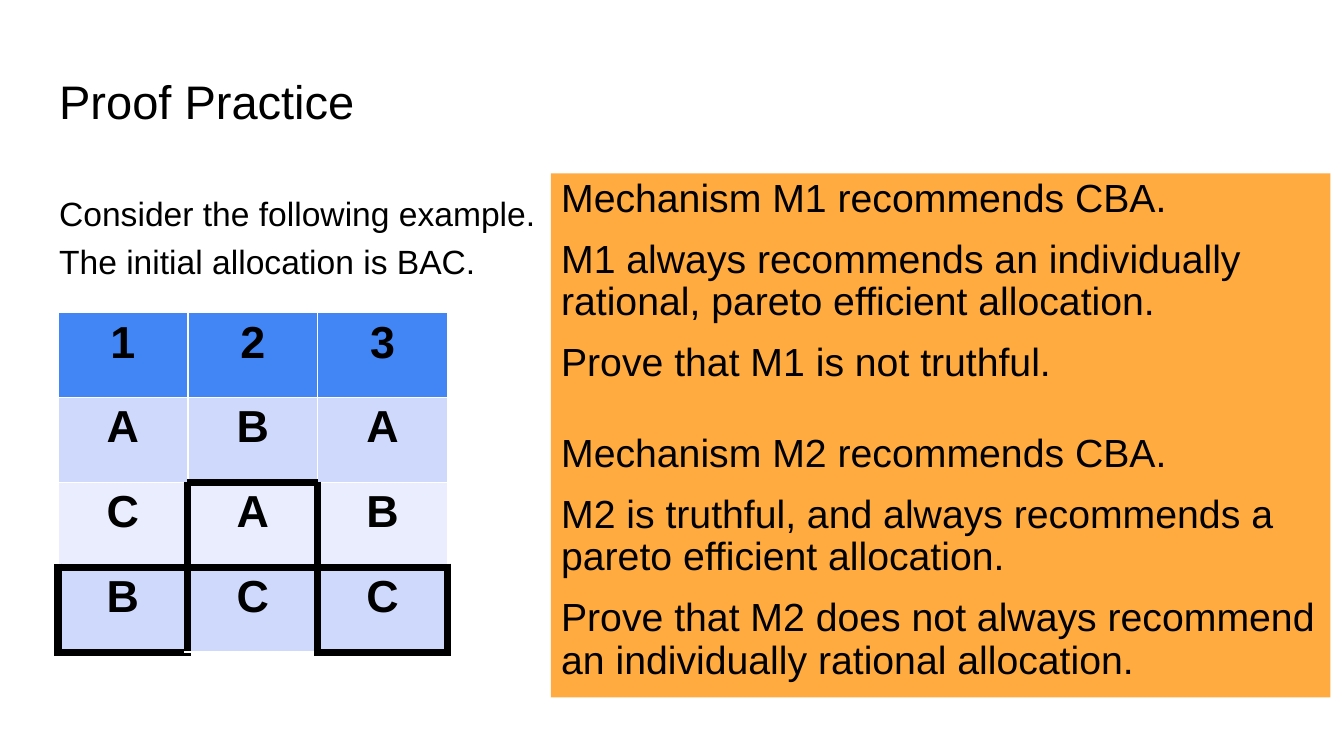
from pptx import Presentation
from pptx.dml.color import RGBColor
from pptx.enum import shapes, text
from pptx.oxml import parse_xml, ns
from pptx.util import Pt

THEME = {
    "font": "Arial", "ink": "000000", "paper": "FFFFFF", "panel": "FFAB40",
    "header": "4285F4", "bands": ("CFD9FB", "E9EDFD"),
    "title": 25.2, "intro": 18, "table": 24, "tasks": 21,
    "thin": 1, "thick": 4.5,
}


def write(frame, lines, size, margins, spacing=1, before=0, align="LEFT", bold=False):
    settings = {"word_wrap": True, "vertical_anchor": text.MSO_ANCHOR.TOP}
    sides = ("margin_left", "margin_top", "margin_right", "margin_bottom")
    settings.update(zip(sides, map(Pt, margins * 2)))
    for name, value in settings.items():
        setattr(frame, name, value)
    for index, line in enumerate(lines):
        para = frame.paragraphs[0] if index == 0 else frame.add_paragraph()
        properties = para._p.get_or_add_pPr()
        properties.set("marL", "0")
        properties.set("indent", "0")
        properties.append(parse_xml(f"<a:buNone {ns.nsdecls('a')}/>"))
        layout = {"alignment": getattr(text.PP_ALIGN, align), "line_spacing": spacing,
                  "space_before": Pt(before if index else 0), "space_after": Pt(0)}
        for name, value in layout.items():
            setattr(para, name, value)
        span = para.add_run()
        span.text = line
        for name, value in {"name": THEME["font"], "size": Pt(size), "bold": bold}.items():
            setattr(span.font, name, value)
        span.font.color.rgb = RGBColor.from_string(THEME["ink"])


def border(cell, side, color, width):
    cell._tc.get_or_add_tcPr().append(parse_xml(
        f'<a:ln{side} {ns.nsdecls("a")} w="{Pt(width)}"><a:solidFill>'
        f'<a:srgbClr val="{color}"/></a:solidFill></a:ln{side}>'))


deck = Presentation()
deck.slide_width, deck.slide_height = Pt(720), Pt(405)
page = deck.slides.add_slide(deck.slide_layouts[1])

title, intro = page.placeholders
places = ((title, (24.5, 31.7, 671, 45.4)), (intro, (24.5, 92.9, 292.3, 257)))
for holder, place in places:
    for name, value in zip(("left", "top", "width", "height"), place):
        setattr(holder, name, Pt(value))
    holder.text_frame.auto_size = text.MSO_AUTO_SIZE.NONE
write(title.text_frame, ["Proof Practice"], THEME["title"], (7.2, 7.2))
write(intro.text_frame, ["Consider the following example.", "The initial allocation is BAC."],
      THEME["intro"], (7.2, 7.2), spacing=1.15, before=1)

preferences = ("123", "ABA", "CAB", "BCC")
initial = {(3, 0), (2, 1), (3, 2)}
neighbours = {"L": (0, -1), "R": (0, 1), "T": (-1, 0), "B": (1, 0)}
grid = page.shapes.add_table(4, 3, Pt(31), Pt(167.4), Pt(208.8), Pt(182)).table
for column in grid.columns:
    column.width = Pt(69.6)
for row, letters in enumerate(preferences):
    grid.rows[row].height = Pt(45.5)
    for col, letter in enumerate(letters):
        cell = grid.cell(row, col)
        for side, (down, across) in neighbours.items():
            owned = initial & {(row, col), (row + down, col + across)}
            border(cell, side, THEME["ink" if owned else "paper"],
                   THEME["thick" if owned else "thin"])
        cell.fill.solid()
        color = THEME["bands"][(row - 1) % 2] if row else THEME["header"]
        cell.fill.fore_color.rgb = RGBColor.from_string(color)
        write(cell.text_frame, [letter], THEME["table"], (5.4, 2.7), align="CENTER", bold=True)
        for name, value in zip(("left", "right", "top", "bottom"), (5.4, 5.4, 2.7, 2.7)):
            setattr(cell, f"margin_{name}", Pt(value))

tasks = [
    "Mechanism M1 recommends CBA.",
    "M1 always recommends an individually rational, pareto efficient allocation.",
    "Prove that M1 is not truthful.",
    "Mechanism M2 recommends CBA.",
    "M2 is truthful, and always recommends a pareto efficient allocation.",
    "Prove that M2 does not always recommend an individually rational allocation.",
]
panel = page.shapes.add_shape(shapes.MSO_SHAPE.RECTANGLE, Pt(295.2), Pt(92.9), Pt(417.6), Pt(280.8))
panel.shadow.inherit = False
panel.fill.solid()
panel.fill.fore_color.rgb = RGBColor.from_string(THEME["panel"])
panel.line.fill.background()
write(panel.text_frame, tasks, THEME["tasks"], (5.4, 2.7), spacing=0.9, before=10)
panel.text_frame.paragraphs[3].space_before = Pt(26)

deck.save("out.pptx")
